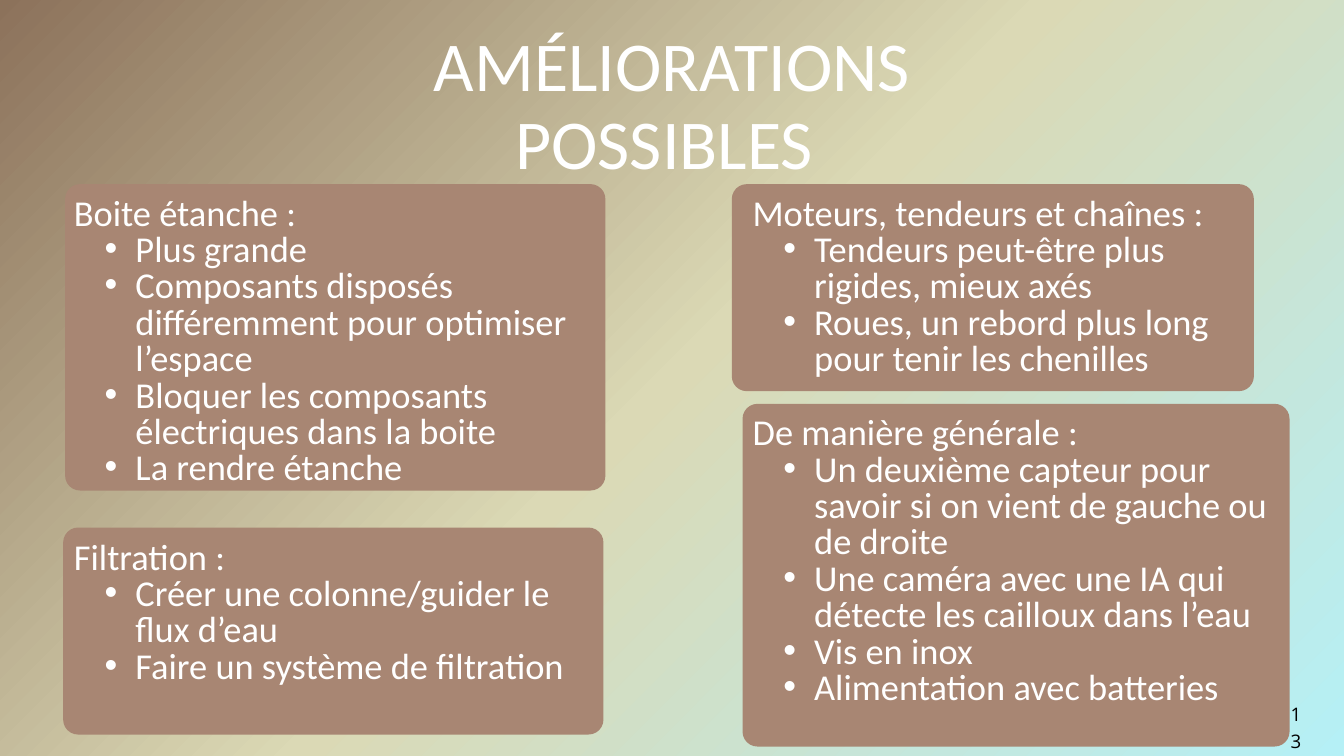
"""Build the slide of possible improvements: a title over four rounded panels of bullets."""
from copy import deepcopy

from pptx import Presentation
from pptx.dml.color import RGBColor
from pptx.enum.shapes import MSO_SHAPE as Shape
from pptx.enum.text import PP_ALIGN as Align
from pptx.oxml.ns import qn
from pptx.util import Pt

COLORS = {
    "brown": "8C725B", "sand": "DBD9B5", "aqua": "B5F0F6",
    "panel": "A88673", "white": "FFFFFF", "black": "000000",
}
FORMATS = {
    "title": {"name": "Calibri", "size": Pt(75), "color": "white", "leading": Pt(84)},
    "body": {"name": "Calibri", "size": Pt(39), "color": "white", "leading": Pt(39)},
    "number": {"name": "Open Sans", "size": Pt(20), "color": "black", "leading": Pt(28)},
}
CORNER = 16
PANELS = [
    ((69.8, 197.3, 578.9, 328.3), (79.2, 211, 552.2, 314.6), "Boite étanche :", [
        "Plus grande",
        "Composants disposés différemment pour optimiser l’espace",
        "Bloquer les composants électriques dans la boite",
        "La rendre étanche"]),
    ((67.7, 565.2, 578.9, 221.8), (79.2, 579.6, 552.2, 197.3), "Filtration :", [
        "Créer une colonne/guider le flux d’eau",
        "Faire un système de filtration"]),
    ((784.1, 197.3, 559.4, 221.8), (806.4, 211, 552.2, 236.9), "Moteurs, tendeurs et chaînes :", [
        "Tendeurs peut-être plus rigides, mieux axés",
        "Roues, un rebord plus long pour tenir les chenilles"]),
    ((795.6, 432.7, 586.1, 367.2), (806.4, 446.4, 552.2, 353.5), "De manière générale :", [
        "Un deuxième capteur pour savoir si on vient de gauche ou de droite",
        "Une caméra avec une IA qui détecte les cailloux dans l’eau",
        "Vis en inox",
        "Alimentation avec batteries"]),
]


def add_text(slide, box, lines, style, align):
    """Add a text box without insets and return its paragraphs."""
    frame = slide.shapes.add_textbox(*map(Pt, box)).text_frame
    for side in ("left", "top", "right", "bottom"):
        setattr(frame, f"margin_{side}", 0)
    frame.word_wrap = True
    frame.text = "\n".join(lines)
    values = FORMATS[style]
    for paragraph in frame.paragraphs:
        paragraph.alignment = align
        paragraph.line_spacing = values["leading"]
        font = paragraph.runs[0].font
        for name in ("name", "size"):
            setattr(font, name, values[name])
        font.color.rgb = RGBColor.from_string(COLORS[values["color"]])
    return frame.paragraphs


def add_bullet(paragraph):
    """Turn a paragraph into an indented bullet."""
    paragraph.level = 1
    properties = paragraph._p.get_or_add_pPr()
    for name, value in {"marL": Pt(66), "indent": Pt(-33)}.items():
        properties.set(name, str(value))
    for tag, name, value in (("a:buFont", "typeface", "Arial"), ("a:buChar", "char", "•")):
        properties.makeelement(qn(tag), {})
        element = properties.makeelement(qn(tag), {name: value})
        properties.append(element)


presentation = Presentation()
presentation.slide_width = Pt(1440)
presentation.slide_height = Pt(810)
slide = presentation.slides.add_slide(presentation.slide_layouts[6])

background = slide.background.fill
background.gradient()
background.gradient_angle = 315
first_stop = slide.element.find(".//" + qn("a:gs"))
first_stop.addnext(deepcopy(first_stop))
for stop, position, color in zip(background.gradient_stops, (0, 0.5, 1), ("brown", "sand", "aqua")):
    stop.position = position
    stop.color.rgb = RGBColor.from_string(COLORS[color])

add_text(slide, (376.6, 28.8, 686.9, 168.5), ["AMÉLIORATIONS POSSIBLES "], "title", Align.CENTER)

for panel_box, text_box, heading, bullets in PANELS:
    panel = slide.shapes.add_shape(Shape.ROUNDED_RECTANGLE, *map(Pt, panel_box))
    panel.adjustments[0] = CORNER / min(panel_box[2:])
    panel.shadow.inherit = False
    panel.fill.solid()
    panel.fill.fore_color.rgb = RGBColor.from_string(COLORS["panel"])
    panel.line.fill.background()
    paragraphs = add_text(slide, text_box, [heading, *bullets], "body", Align.LEFT)
    for paragraph in paragraphs[1:]:
        add_bullet(paragraph)

add_text(slide, (1382.4, 749.5, 12.2, 15.8), ["13"], "number", Align.CENTER)

presentation.save("out.pptx")
